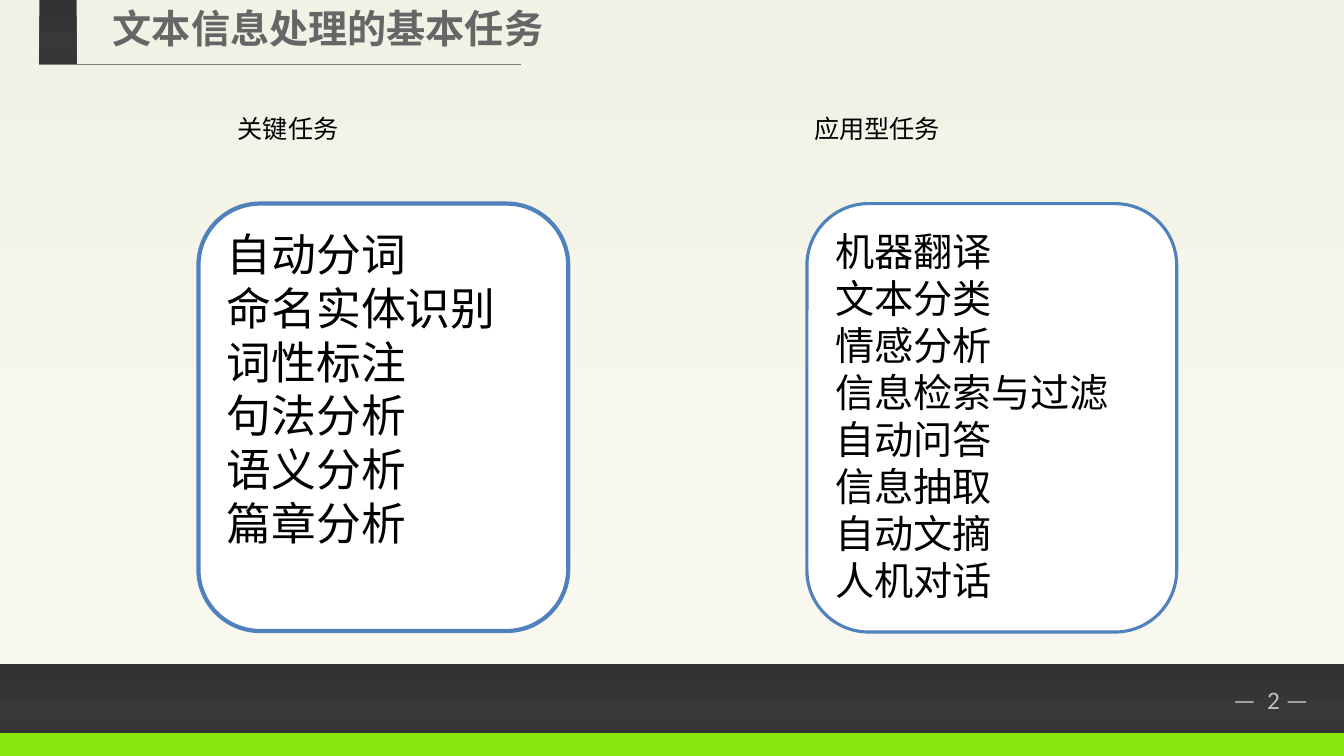
from lxml.etree import SubElement
from pptx import Presentation
from pptx.dml.color import RGBColor as Rgb
from pptx.enum.shapes import MSO_CONNECTOR as Conn, MSO_SHAPE as Geom
from pptx.enum.text import MSO_ANCHOR as Anchor, MSO_AUTO_SIZE as Auto, PP_ALIGN as Align
from pptx.oxml.ns import qn
from pptx.util import Inches, Pt

COLORS = {
    "lime": "88E70F", "title": "666666", "page": "BFBFBF", "rule": "7F7F7F",
    "blue": "4F81BD", "white": "FFFFFF", "black": "000000",
}
CREAM = [(0, "F1F1E5"), (74, "F7F7ED"), (83, "F8F8EE"), (100, "F9F9EF")]
DARK = [(0, "333134"), (74, "39373A"), (83, "373538"), (100, "363436")]
CJK = "Noto Sans CJK SC"
PAD = 0.18  # room for the round corners of a card

KEY = ["自动分词", "命名实体识别", "词性标注", "句法分析", "语义分析", "篇章分析"]
APPS = ["机器翻译", "文本分类", "情感分析", "信息检索与过滤",
        "自动问答", "信息抽取", "自动文摘", "人机对话"]


def color(name):
    return Rgb.from_string(COLORS[name])


def place(shape, box):
    shape.left, shape.top, shape.width, shape.height = map(Inches, box)


def add_block(slide, box, fill, geom=Geom.RECTANGLE):
    """Add a shape with a plain colour or a list of gradient stops."""
    shape = slide.shapes.add_shape(geom, *map(Inches, box))
    shape.shadow.inherit = False
    shape.line.fill.background()
    if isinstance(fill, str):
        shape.fill.solid()
        shape.fill.fore_color.rgb = color(fill)
        return shape
    shape.fill.gradient()
    shape.fill.gradient_angle = 270
    stops = shape.element.spPr.find(qn("a:gradFill")).find(qn("a:gsLst"))
    stops.clear()
    for pos, tone in fill:
        stop = SubElement(stops, qn("a:gs"), pos=str(pos * 1000))
        SubElement(stop, qn("a:srgbClr"), val=tone)
    return shape


def add_card(slide, box, width):
    card = add_block(slide, box, "white", Geom.ROUNDED_RECTANGLE)
    card.line.color.rgb = color("blue")
    card.line.width = Pt(width)


def add_rule(slide, start, end):
    line = slide.shapes.add_connector(Conn.STRAIGHT, *map(Inches, start + end))
    line.line.color.rgb = color("rule")
    line.line.width = Pt(0.75)
    SubElement(line.element.spPr, qn("a:effectLst"))


def set_text(shape, lines, size, tone, font=CJK, bold=False, anchor=Anchor.TOP):
    frame = shape.text_frame
    frame.text = "\n".join(lines)
    frame.word_wrap = True
    frame.auto_size = Auto.NONE
    frame.vertical_anchor = anchor
    frame.margin_left = frame.margin_right = Inches(0.1)
    frame.margin_top = frame.margin_bottom = Inches(0.05)
    for para in frame.paragraphs:
        para.alignment = Align.LEFT
        para.space_before = para.space_after = Pt(0)
        props = para._p.get_or_add_pPr()
        props.set("marL", "0")
        props.set("indent", "0")
        SubElement(props, qn("a:buNone"))
        for run in para.runs:
            run.font.size = Pt(size)
            run.font.bold = bold
            run.font.color.rgb = color(tone)
            run.font.name = font
            SubElement(run.font._element, qn("a:ea"), typeface=CJK)


def fill_holder(holder, box, *args, **style):
    """Place a placeholder, bring it to the front and set its text."""
    place(holder, box)
    holder.element.getparent().append(holder.element)
    set_text(holder, *args, **style)


def main():
    deck = Presentation()
    deck.slide_width, deck.slide_height = Inches(13.34), Inches(7.5)
    slide = deck.slides.add_slide(deck.slide_layouts.get_by_name("Comparison"))
    title, *parts = slide.placeholders

    # Backdrop and footer
    add_block(slide, (0, 0, 13.34, 6.59), CREAM)
    add_block(slide, (0, 7.26, 13.34, 0.24), "lime")
    add_block(slide, (0, 6.59, 13.34, 0.68), DARK)
    page = slide.shapes.add_textbox(*map(Inches, (12.14, 6.74, 1.19, 0.4)))
    set_text(page, ["—  2 —"], 18, "page", font="Calibri")

    # Title
    add_block(slide, (0.39, 0, 0.37, 0.64), DARK)
    fill_holder(title, (1.02, -0.01, 4.62, 0.57), ["文本信息处理的基本任务"],
                28, "title", bold=True, anchor=Anchor.MIDDLE)
    add_rule(slide, (0.39, 0.64), (5.17, 0.64))

    # Two columns: heading, card and list
    columns = [
        ("关键任务", 2.26, KEY, 32, (1.97, 2.02, 3.67, 4.24), 3),
        ("应用型任务", 7.98, APPS, 28, (8.01, 2.02, 3.67, 4.25), 2.25),
    ]
    for col, head, body in zip(columns, parts[::2], parts[1::2]):
        name, left, tasks, size, box, width = col
        x, y, w, h = box
        add_card(slide, box, width)
        fill_holder(body, (x + PAD, y + PAD, w - 2 * PAD, h - 2 * PAD),
                    tasks, size, "black")
        fill_holder(head, (left, 1.07, 3.15, 0.4), [name], 18, "black", font="Arial")

    deck.save("out.pptx")


if __name__ == "__main__":
    main()
